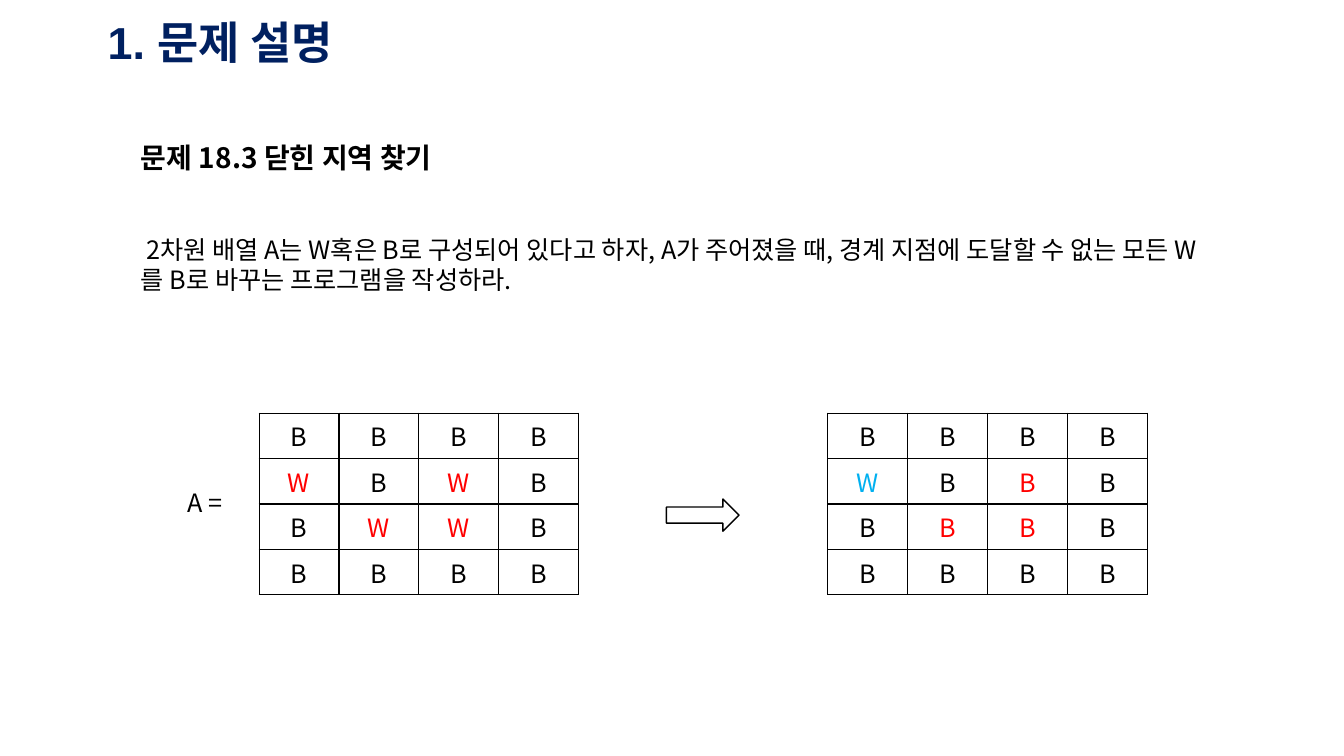
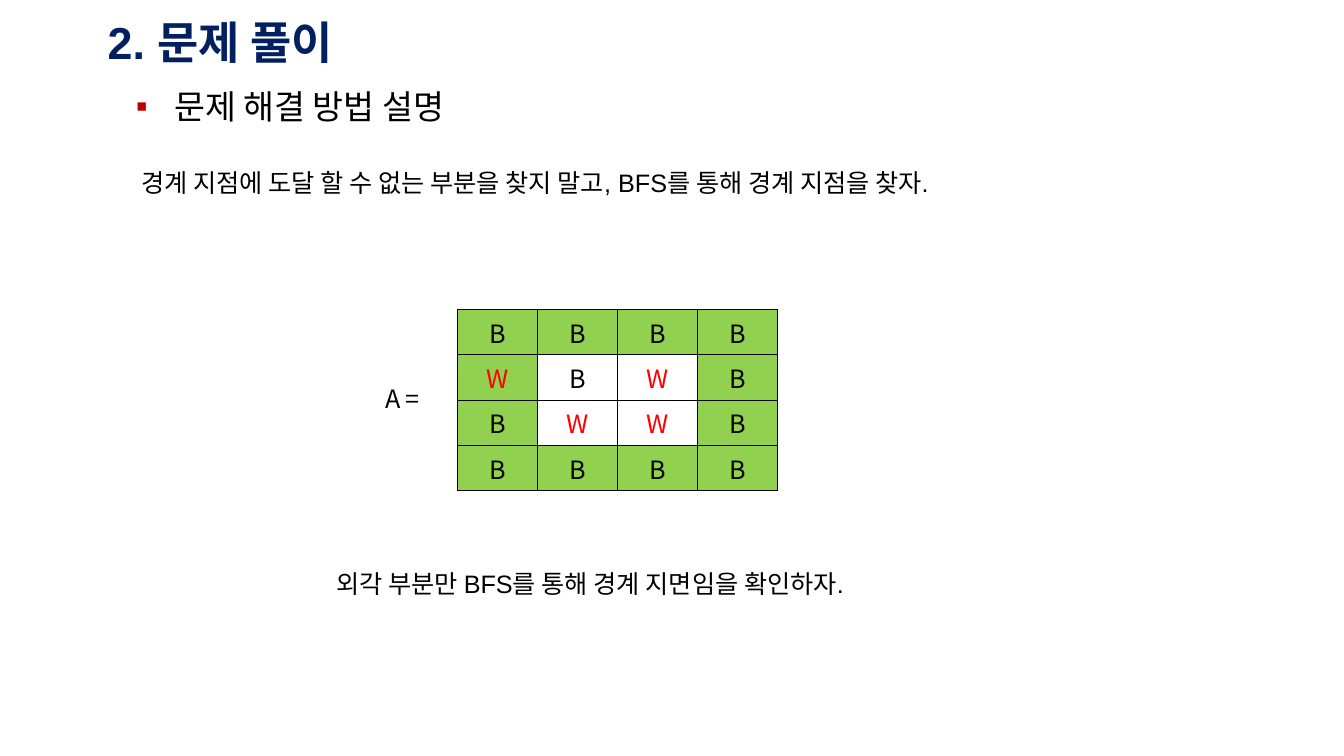
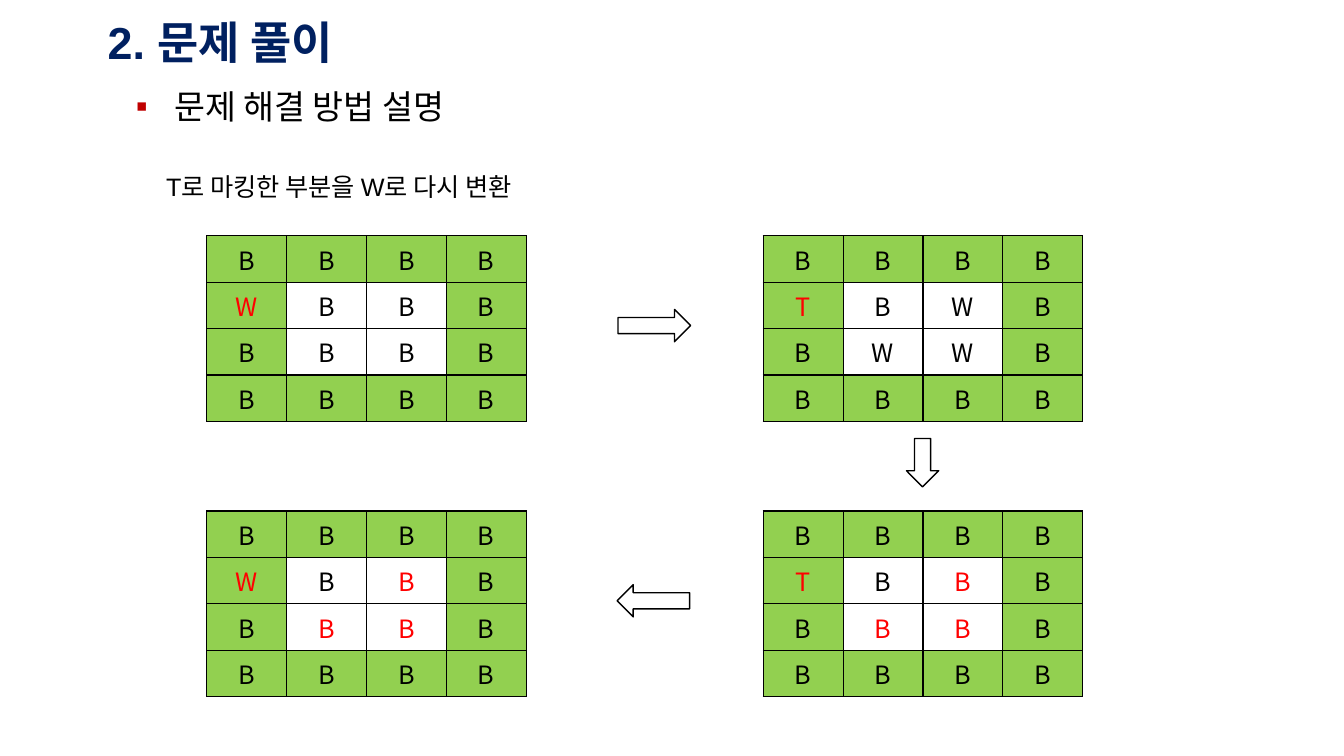
from pptx import Presentation
from pptx.dml.color import RGBColor
from pptx.enum.shapes import MSO_SHAPE
from pptx.enum.text import MSO_ANCHOR, PP_ALIGN
from pptx.oxml import parse_xml
from pptx.oxml.ns import nsdecls
from pptx.util import Inches, Pt

NAVY = RGBColor(0x00, 0x20, 0x60)
BLACK = RGBColor(0x00, 0x00, 0x00)
WHITE = RGBColor(0xFF, 0xFF, 0xFF)
RED = RGBColor(0xFF, 0x00, 0x00)
CYAN = RGBColor(0x00, 0xB0, 0xF0)
GREEN = RGBColor(0x92, 0xD0, 0x50)
BULLET_RED = RGBColor(0xC0, 0x00, 0x00)

SANS = "Arial"
KOREAN = "Noto Sans CJK KR"
LINE_HEIGHT = 1.19
GRID_WIDTH = 3.17

# Grids: a lower-case letter marks a highlighted cell
INPUT_GRID = ("BBBB", "wBwB", "BwwB", "BBBB")
CLOSED_GRID = ("BBBB", "wBbB", "BbbB", "BBBB")
START_GRID = ("BBBB", "wBBB", "BBBB", "BBBB")
MARKED_GRID = ("BBBB", "tBWB", "BWWB", "BBBB")
FILLED_GRID = ("BBBB", "tBbB", "BbbB", "BBBB")


def write(paragraph, text, size=18, font=SANS, color=BLACK, bold=False,
          align=None, line=None, before=0):
    """Put formatted text into a paragraph."""
    run = paragraph.add_run()
    run.text = text
    run.font.size = Pt(size)
    run.font.name = font
    run.font.bold = bold
    run.font.color.rgb = color
    if font == KOREAN:
        run.font._element.append(
            parse_xml(f'<a:ea {nsdecls("a")} typeface="{KOREAN}"/>'))
    if align is not None:
        paragraph.alignment = align
    if line is not None:
        paragraph.line_spacing = line
    if before:
        paragraph.space_before = Pt(before)


def add_frame(slide, left, top, width, height, anchor=MSO_ANCHOR.TOP):
    box = slide.shapes.add_textbox(
        Inches(left), Inches(top), Inches(width), Inches(height))
    frame = box.text_frame
    frame.word_wrap = True
    frame.vertical_anchor = anchor
    return frame


def write_line(paragraph, text, size=18, **style):
    """Write text with the line height of the body."""
    write(paragraph, text, size=size, line=Pt(size * LINE_HEIGHT), **style)


def add_note(slide, text, left, top, width, height=0.51, **style):
    frame = add_frame(slide, left, top, width, height)
    write_line(frame.paragraphs[0], text, **style)


def add_title(slide, text):
    frame = add_frame(slide, 0.97, 0, 11.5, 0.74, MSO_ANCHOR.BOTTOM)
    write(frame.paragraphs[0], text, size=32, color=NAVY, bold=True, line=0.9)


def add_method_heading(slide, height):
    frame = add_frame(slide, 1.25, 0.81, 9.74, height)
    heading = frame.paragraphs[0]
    write_line(heading, "문제 해결 방법 설명", size=24, align=PP_ALIGN.JUSTIFY)
    properties = heading._p.get_or_add_pPr()
    properties.set("marL", str(Inches(0.38)))
    properties.set("indent", str(Inches(-0.38)))
    for bullet_part in (
            f'<a:buClr {nsdecls("a")}><a:srgbClr val="{BULLET_RED}"/></a:buClr>',
            f'<a:buFont {nsdecls("a")} typeface="{SANS}"/>',
            f'<a:buChar {nsdecls("a")} char="▪"/>'):
        properties.append(parse_xml(bullet_part))
    return frame


def add_borders(cell):
    properties = cell._tc.get_or_add_tcPr()
    for side in ("lnL", "lnR", "lnT", "lnB"):
        properties.append(parse_xml(
            f'<a:{side} {nsdecls("a")} w="{Pt(1)}"><a:solidFill>'
            f'<a:srgbClr val="{BLACK}"/></a:solidFill></a:{side}>'))


def add_grid(slide, rows, left, top, row_height=0.45, margin=0.04,
             edge_fill=None, accents=None):
    """Draw a letter grid, with an optional fill on its outer cells."""
    accents = accents or {}
    last_row, last_column = len(rows) - 1, len(rows[0]) - 1
    table = slide.shapes.add_table(
        len(rows), len(rows[0]), Inches(left), Inches(top),
        Inches(GRID_WIDTH), Inches(row_height * len(rows))).table
    table.first_row = table.horz_banding = False
    for row_index, letters in enumerate(rows):
        table.rows[row_index].height = Inches(row_height)
        for column_index, letter in enumerate(letters):
            cell = table.cell(row_index, column_index)
            add_borders(cell)
            on_edge = row_index in (0, last_row) or column_index in (0, last_column)
            if edge_fill is not None and on_edge:
                cell.fill.solid()
                cell.fill.fore_color.rgb = edge_fill
            else:
                cell.fill.background()
            cell.margin_top = cell.margin_bottom = Inches(margin)
            cell.vertical_anchor = MSO_ANCHOR.MIDDLE
            color = RED if letter.islower() else BLACK
            write(cell.text_frame.paragraphs[0], letter.upper(), font=KOREAN,
                  color=accents.get((row_index, column_index), color),
                  align=PP_ALIGN.CENTER)


def add_arrow(slide, direction, left, top, width=0.72, height=0.32):
    arrow = slide.shapes.add_shape(
        direction, Inches(left), Inches(top), Inches(width), Inches(height))
    arrow.shadow.inherit = False
    arrow.fill.solid()
    arrow.fill.fore_color.rgb = WHITE
    arrow.line.color.rgb = BLACK
    arrow.line.width = Pt(1)


def build_problem(slide):
    add_title(slide, "1. 문제 설명")
    statement = add_frame(slide, 1.3, 1.35, 10.83, 1.95)
    write_line(statement.paragraphs[0], "문제 18.3 닫힌 지역 찾기",
               size=20, font=KOREAN, bold=True)
    write_line(statement.add_paragraph(),
               " 2차원 배열 A는 W혹은 B로 구성되어 있다고 하자, A가 주어졌을 때, "
               "경계 지점에 도달할 수 없는 모든 W를 B로 바꾸는 프로그램을 작성하라.",
               font=KOREAN, before=43)
    # Array before and after
    add_note(slide, "A =", 1.76, 4.79, 0.69, 0.4, font=KOREAN)
    add_grid(slide, INPUT_GRID, 2.57, 4.1)
    add_grid(slide, CLOSED_GRID, 8.21, 4.1, accents={(1, 0): CYAN})
    add_arrow(slide, MSO_SHAPE.RIGHT_ARROW, 6.61, 4.95)


def build_method(slide):
    add_title(slide, "2. 문제 풀이")
    method = add_method_heading(slide, 1.53)
    write_line(method.add_paragraph(),
               " 경계 지점에 도달 할 수 없는 부분을 찾지 말고, "
               "BFS를 통해 경계 지점을 찾자.",
               align=PP_ALIGN.JUSTIFY, before=29)
    # Array with its border marked
    add_note(slide, "A =", 3.72, 3.76, 0.69, 0.4, font=KOREAN)
    add_grid(slide, INPUT_GRID, 4.54, 3.07, edge_fill=GREEN)
    add_note(slide, "외각 부분만 BFS를 통해 경계 지면임을 확인하자.",
             3.24, 5.59, 5.76, align=PP_ALIGN.JUSTIFY)


def build_steps(slide):
    add_title(slide, "2. 문제 풀이")
    add_method_heading(slide, 0.67)
    add_note(slide, "T로 마킹한 부분을 W로 다시 변환", 1.55, 1.65, 7.47,
             align=PP_ALIGN.JUSTIFY)
    # Four steps, clockwise from the top left
    left, right, upper, lower = 2.05, 7.57, 2.34, 5.07
    for rows, x, y in ((START_GRID, left, upper), (MARKED_GRID, right, upper),
                       (FILLED_GRID, right, lower), (CLOSED_GRID, left, lower)):
        add_grid(slide, rows, x, y, row_height=0.46, margin=0.05,
                 edge_fill=GREEN)
    add_arrow(slide, MSO_SHAPE.RIGHT_ARROW, 6.13, 3.07)
    add_arrow(slide, MSO_SHAPE.DOWN_ARROW, 8.99, 4.35, 0.32, 0.48)
    add_arrow(slide, MSO_SHAPE.LEFT_ARROW, 6.12, 5.8)


def main():
    deck = Presentation()
    deck.slide_width, deck.slide_height = Inches(13.33), Inches(7.5)
    blank = deck.slide_layouts[6]
    for build in (build_problem, build_method, build_steps):
        build(deck.slides.add_slide(blank))
    deck.save("out.pptx")


if __name__ == "__main__":
    main()
